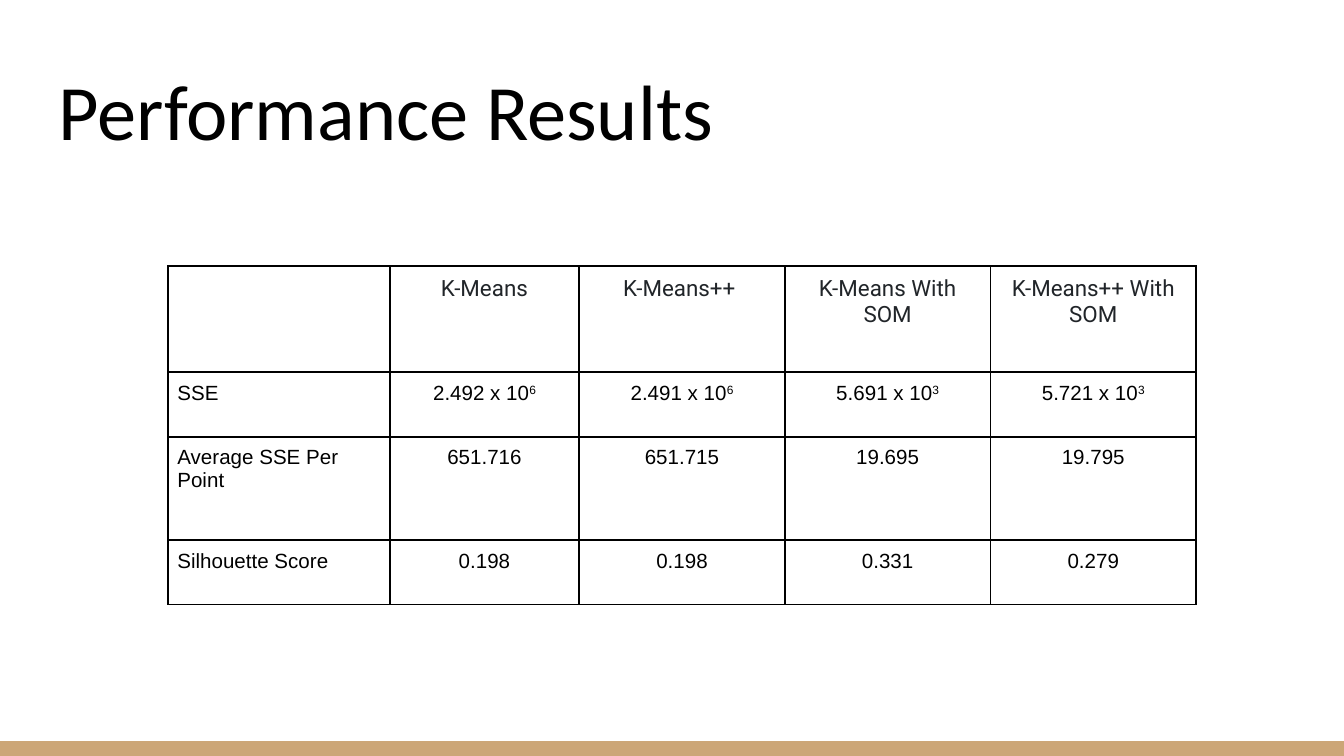
import pptx
import pptx.util
import pptx.dml.color
import pptx.enum.shapes
import pptx.enum.text
import pptx.oxml
import pptx.oxml.ns

Inches, Pt = pptx.util.Inches, pptx.util.Pt
Align = pptx.enum.text.PP_ALIGN

TITLE = "Performance Results"
# A caret marks the start of a superscript.
ROWS = [
    ["", "K-Means", "K-Means++ ", "K-Means With SOM", "K-Means++ With SOM"],
    ["SSE", "2.492 x 10^6", "2.491 x 10^6", "5.691 x 10^3", "5.721 x 10^3"],
    ["Average SSE Per Point", "651.716", "651.715", "19.695", "19.795"],
    ["Silhouette Score", "0.198", "0.198", "0.331", "0.279"],
]
WIDTHS = [1.65, 1.41, 1.53, 1.53, 1.53]
HEIGHTS = [0.79, 0.48, 0.77, 0.48]

# The slide is 16:9.
WIDE = Inches(10)
HIGH = WIDE * 9 // 16

# Text styles are font, size, colour.
THEME = {
    "title": ("Calibri", 42, "000000"),
    "head": ("Roboto", 12, "212529"),
    "body": ("Arial", 11, "000000"),
    "band": "CCA677",
    "rule": "000000",
    "back": "FFFFFF",
}


def color(name):
    return pptx.dml.color.RGBColor.from_string(THEME[name])


def style(run, name):
    face, size, tint = THEME[name]
    run.font.name = face
    run.font.size = Pt(size)
    run.font.color.rgb = pptx.dml.color.RGBColor.from_string(tint)


def border(cell):
    """Draw a one-point line on all four sides; call before setting a fill."""
    props = cell._tc.get_or_add_tcPr()
    for side in ("lnL", "lnR", "lnT", "lnB"):
        props.append(pptx.oxml.parse_xml(
            f'<a:{side} {pptx.oxml.ns.nsdecls("a")} w="{Pt(1)}"><a:solidFill>'
            f'<a:srgbClr val="{THEME["rule"]}"/></a:solidFill></a:{side}>'))


def write(cell, text, name, align):
    para = cell.text_frame.paragraphs[0]
    para.alignment = align
    base, _, power = text.partition("^")
    para.text = base
    if power:
        run = para.add_run()
        run.text = power
        run.font._element.set("baseline", "30000")
    for run in para.runs:
        style(run, name)


def add_band(slide):
    tall = Inches(0.11)
    band = slide.shapes.add_shape(
        pptx.enum.shapes.MSO_SHAPE.RECTANGLE, 0, HIGH - tall, WIDE, tall)
    band.shadow.inherit = False
    band.fill.solid()
    band.fill.fore_color.rgb = color("band")
    band.line.fill.background()


def add_title(slide):
    box = slide.shapes.add_textbox(
        Inches(0.34), Inches(0.35), Inches(9.32), Inches(0.91))
    frame = box.text_frame
    frame.word_wrap = True
    frame.vertical_anchor = pptx.enum.text.MSO_ANCHOR.BOTTOM
    frame.margin_left = frame.margin_right = Inches(0.1)
    frame.margin_top = frame.margin_bottom = Inches(0.1)
    frame.text = TITLE
    style(frame.paragraphs[0].runs[0], "title")


def add_scores(slide):
    table = slide.shapes.add_table(
        len(ROWS), len(WIDTHS), Inches(1.25), Inches(1.98),
        Inches(sum(WIDTHS)), Inches(sum(HEIGHTS))).table
    for col, width in zip(table.columns, WIDTHS):
        col.width = Inches(width)
    for r, (texts, height) in enumerate(zip(ROWS, HEIGHTS)):
        table.rows[r].height = Inches(height)
        for c, text in enumerate(texts):
            cell = table.cell(r, c)
            cell.margin_left = cell.margin_right = Inches(0.07)
            cell.margin_top = cell.margin_bottom = Inches(0.07)
            border(cell)
            cell.fill.background()
            write(cell, text, "body" if r else "head",
                  Align.CENTER if c else Align.LEFT)


def main():
    deck = pptx.Presentation()
    deck.slide_width, deck.slide_height = WIDE, HIGH
    slide = deck.slides.add_slide(deck.slide_layouts[6])
    slide.background.fill.solid()
    slide.background.fill.fore_color.rgb = color("back")
    add_band(slide)
    add_title(slide)
    add_scores(slide)
    deck.save("out.pptx")


if __name__ == "__main__":
    main()
